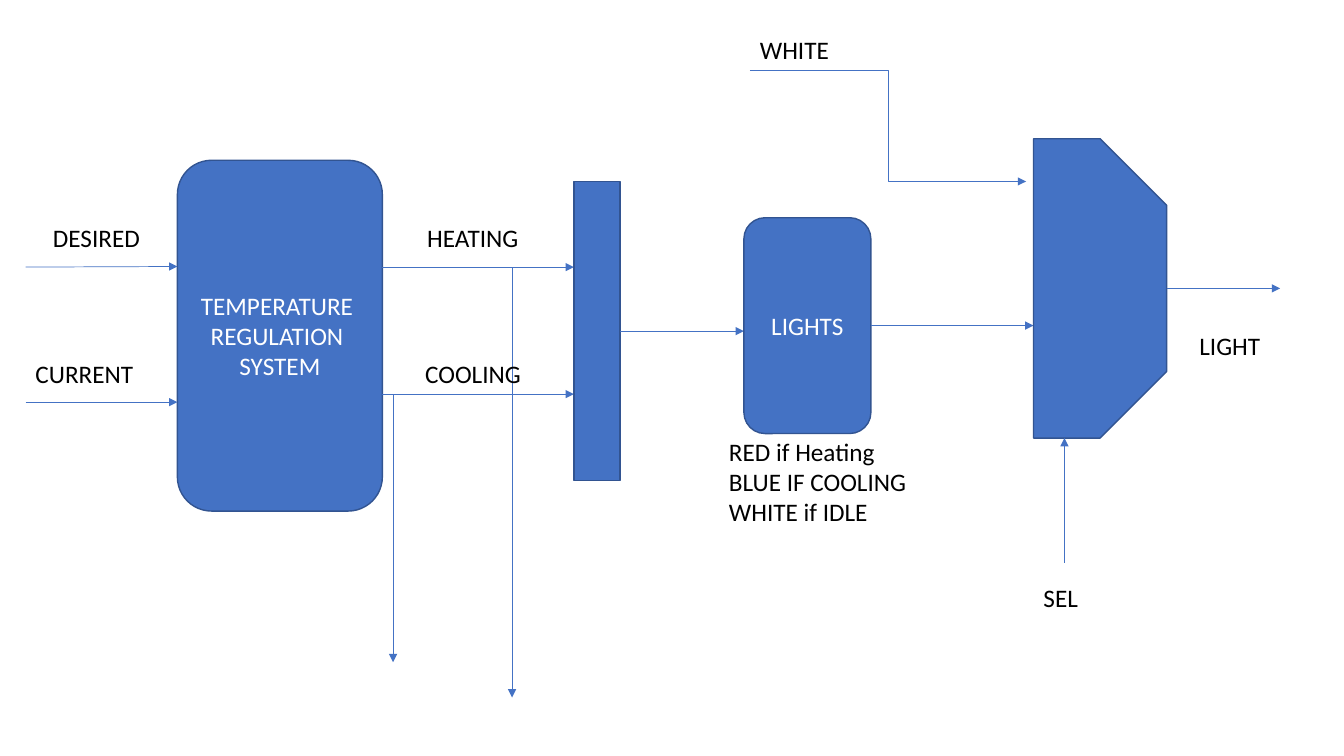
import pptx
import pptx.util
import pptx.dml.color
import pptx.enum.shapes
import pptx.enum.text
import pptx.oxml
import pptx.oxml.ns

SHAPE = pptx.enum.shapes.MSO_SHAPE
LINK = pptx.enum.shapes.MSO_CONNECTOR
ALIGN = pptx.enum.text.PP_ALIGN
BLUE, EDGE, WHITE, BLACK = "4472C4", "325491", "FFFFFF", "000000"
LABEL_H = 5.33

prs = pptx.Presentation()
prs.slide_width = pptx.util.Inches(13.33)
prs.slide_height = pptx.util.Inches(7.5)


# Grid of 100 columns by 100 rows
def col(n):
    return round(prs.slide_width * n / 100)


def row(n):
    return round(prs.slide_height * n / 100)


def rgb(value):
    return pptx.dml.color.RGBColor.from_string(value)


def write(sp, text, color, align):
    tf = sp.text_frame
    tf.word_wrap = True
    tf.text = text
    for p in tf.paragraphs:
        p.alignment = align
        for r in p.runs:
            font = {"name": "Calibri", "size": pptx.util.Pt(18)}
            for key, value in font.items():
                setattr(r.font, key, value)
            r.font.color.rgb = rgb(color)


def block(s, kind, x, y, w, h, text=""):
    sp = s.shapes.add_shape(kind, col(x), row(y), col(w), row(h))
    sp.shadow.inherit = False
    sp.fill.solid()
    sp.fill.fore_color.rgb = rgb(BLUE)
    sp.line.color.rgb = rgb(EDGE)
    sp.line.width = pptx.util.Pt(1)
    if text:
        write(sp, text, WHITE, ALIGN.CENTER)
        sp.text_frame.vertical_anchor = pptx.enum.text.MSO_ANCHOR.MIDDLE
    return sp


def label(s, text, x, y, w=9, h=LABEL_H):
    sp = s.shapes.add_textbox(col(x), row(y), col(w), row(h))
    write(sp, text, BLACK, ALIGN.LEFT)
    sp.text_frame.auto_size = pptx.enum.text.MSO_AUTO_SIZE.SHAPE_TO_FIT_TEXT


def arrow(s, x1, y1, x2, y2, kind=LINK.STRAIGHT):
    c = s.shapes.add_connector(kind, col(x1), row(y1), col(x2), row(y2))
    c.line.color.rgb = rgb(BLUE)
    c.line.width = pptx.util.Pt(0.5)
    ln = c.line._get_or_add_ln()
    ns = pptx.oxml.ns.nsdecls("a")
    ln.append(pptx.oxml.parse_xml(f'<a:tailEnd {ns} type="triangle"/>'))
    ln.addnext(pptx.oxml.parse_xml(f"<a:effectLst {ns}/>"))


# Temperature regulation with its inputs, outputs and downward taps
def regulator(s, x, y, w, h, reach):
    block(s, SHAPE.ROUNDED_RECTANGLE, x, y, w, h,
          "TEMPERATURE \vREGULATION \vSYSTEM")
    for name, dx, dy, start in (("DESIRED", -10, 14.05, 14.13),
                                ("CURRENT", -11.3, 32, 32)):
        arrow(s, x - 11.3, y + start, x, y + dy)
        label(s, name, x + dx, y + dy - 6.45)
    right = x + w
    for name, dx, dy, text_dy, tap, end in (
            ("HEATING", 2.6, 14.13, 7.6, 9.65, 71.07),
            ("COOLING", 2.45, 30.93, 25.5, 0.8, 66.4)):
        arrow(s, right, y + dy, reach, y + dy)
        label(s, name, right + dx, y + text_dy)
        arrow(s, right + tap, y + dy, right + tap, y + end)


# Bar that joins heating and cooling into one signal
def joiner(s, x, y, w, h, reach):
    block(s, SHAPE.RECTANGLE, x, y, w, h)
    arrow(s, x + w, y + h / 2, reach, y + h / 2)


# Lights with their colour rule
def lights(s, x, y, w, h, reach):
    block(s, SHAPE.ROUNDED_RECTANGLE, x, y, w, h, "LIGHTS")
    arrow(s, x + w, y + h / 2, reach, y + h / 2)
    label(s, "RED if Heating \nBLUE IF COOLING\nWHITE if IDLE",
          x - 1.85, y + h - 0.3, 15.1, 13.45)


# Multiplexer with white input, selector and light output
def multiplexer(s, x, y, w, h):
    sp = block(s, SHAPE.SNIP_2_SAME_RECTANGLE, x, y, w, h)
    sp.adjustments[0], sp.adjustments[1] = 0.5, 0
    # Turn a quarter while keeping the given box
    mid_x, mid_y = sp.left + sp.width // 2, sp.top + sp.height // 2
    sp.width, sp.height = sp.height, sp.width
    sp.left, sp.top = mid_x - sp.width // 2, mid_y - sp.height // 2
    sp.rotation = 90

    arrow(s, x - 21.1, y - 9, x - 0.55, y + 5.65, LINK.ELBOW)
    label(s, "WHITE", x - 21.1, y - 14.5)
    arrow(s, x + 2.3, y + h + 16.5, x + 2.3, y + h)
    label(s, "SEL", x, y + h + 18.45)
    arrow(s, x + w, y + h / 2, x + w + 8.45, y + h / 2)
    label(s, "LIGHT", x + w + 1.7, y + 24.7, 6.75)


s = prs.slides.add_slide(prs.slide_layouts[6])
regulator(s, 13.2, 21.2, 15.25, 46.4, reach=42.7)
joiner(s, 42.7, 24, 3.45, 39.6, reach=55.35)
lights(s, 55.35, 28.8, 9.45, 28.55, reach=76.9)
multiplexer(s, 76.9, 18.35, 9.9, 39.6)
prs.save("out.pptx")
